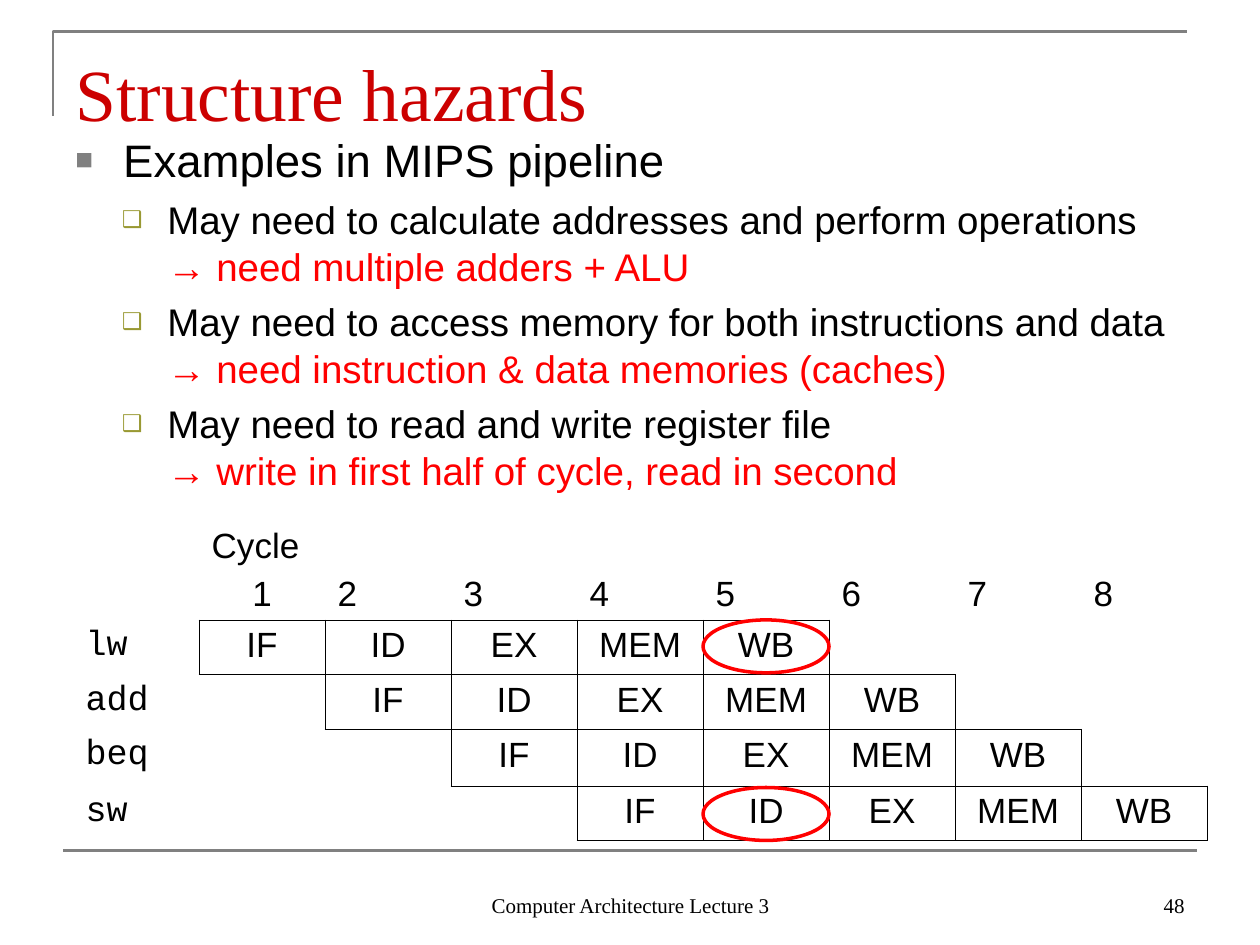
from lxml import etree
from pptx import Presentation
from pptx.dml.color import RGBColor
from pptx.enum.shapes import MSO_CONNECTOR, MSO_SHAPE
from pptx.enum.text import MSO_ANCHOR as Anchor, PP_ALIGN as Align
from pptx.oxml.ns import qn
from pptx.util import Inches, Pt

BLACK, RED, GRAY = "000000", "FF0000", "808080"
SERIF, SANS, MONO = "Times New Roman", "Arial", "Courier New"

TITLE = "Structure hazards"
FOOTER = "Computer Architecture Lecture 3"
PAGE = "48"

# Style: size, left margin, first-line indent, space before, bullet (sign, colour, percent)
STYLES = {
    "topic": (26, 0.38, -0.38, 0, ("■", GRAY, 65)),
    "hazard": (22, 0.73, -0.36, 5.5, ("❑", "999933", 60)),
    "remedy": (22, 0.73, 0, 0, None),
}
# Style, black text, red text
POINTS = [
    ("topic", "Examples in MIPS pipeline", ""),
    ("hazard", "May need to calculate addresses and perform operations \v",
     "→ need multiple adders + ALU"),
    ("hazard", "May need to access memory for both instructions and data \v",
     "→ need instruction & data memories (caches)"),
    ("hazard", "May need to read and write register file", ""),
    ("remedy", "", "→ write in first half of cycle, read in second"),
]

STAGES = ["IF", "ID", "EX", "MEM", "WB"]
INSTRUCTIONS = ["lw", "add", "beq", "sw"]
CYCLES = 8
TABLE_LEFT, TABLE_TOP, COLUMN = 0.58, 4.08, 1
ROW_HEIGHTS = [0.84, 0.43, 0.43, 0.45, 0.43]
CONFLICT_CYCLE, CONFLICT_TOPS = 5, [4.92, 6.25]


def rgb(color):
    return RGBColor.from_string(color)


def format_runs(paragraph, size, font, color=BLACK):
    for run in paragraph.runs:
        run.font.size, run.font.name = Pt(size), font
        run.font.color.rgb = rgb(color)


def add_box(slide, left, top, width, height, anchor):
    box = slide.shapes.add_textbox(*map(Inches, (left, top, width, height)))
    frame = box.text_frame
    frame.word_wrap, frame.vertical_anchor = True, anchor
    return frame


def add_label(slide, place, text, size, color=BLACK, align=Align.LEFT):
    frame = add_box(slide, *place, Anchor.BOTTOM)
    frame.text = text
    frame.paragraphs[0].alignment = align
    format_runs(frame.paragraphs[0], size, SERIF, color)
    return frame


def set_outline(shape, color, width):
    shape.line.color.rgb, shape.line.width = rgb(color), Pt(width)


def set_indent(paragraph, left, first, bullet):
    props = paragraph._p.get_or_add_pPr()
    props.set("marL", str(Inches(left)))
    props.set("indent", str(Inches(first)))
    if bullet is None:
        etree.SubElement(props, qn("a:buNone"))
        return
    sign, color, percent = bullet
    tint = etree.SubElement(props, qn("a:buClr"))
    etree.SubElement(tint, qn("a:srgbClr"), val=color)
    etree.SubElement(props, qn("a:buSzPct"), val=str(percent * 1000))
    etree.SubElement(props, qn("a:buFont"), typeface=SANS)
    etree.SubElement(props, qn("a:buChar"), char=sign)


def add_frame_lines(slide):
    builder = slide.shapes.build_freeform(Inches(0.42), Inches(0.92))
    builder.add_line_segments(
        [(Inches(0.42), Inches(0.25)), (Inches(9.42), Inches(0.25))], close=False)
    corner = builder.convert_to_shape()
    corner.shadow.inherit = False
    corner.fill.background()
    rule = slide.shapes.add_connector(
        MSO_CONNECTOR.STRAIGHT, *map(Inches, (0.5, 6.75, 9.5, 6.75)))
    etree.SubElement(rule._element.spPr, qn("a:effectLst"))
    for line in (corner, rule):
        set_outline(line, GRAY, 1.5)


def add_points(slide):
    frame = add_box(slide, 0.5, 1, 9, 3.08, Anchor.TOP)
    for i, (style, plain, remedy) in enumerate(POINTS):
        size, left, first, before, bullet = STYLES[style]
        paragraph = frame.add_paragraph() if i else frame.paragraphs[0]
        paragraph.text = plain
        set_indent(paragraph, left, first, bullet)
        paragraph.space_before = Pt(before)
        format_runs(paragraph, size, SANS)
        if remedy:
            run = paragraph.add_run()
            run.text = remedy
            run.font.size, run.font.name = Pt(size), SANS
            run.font.color.rgb = rgb(RED)


def is_stage(row, column):
    """Instruction n enters the pipeline in cycle n and stays for five cycles."""
    return 1 <= row <= len(INSTRUCTIONS) and 0 <= column - row < len(STAGES)


def set_borders(cell, row, column):
    """Draw each side that touches a pipeline stage, and clear the others."""
    neighbours = {"L": (row, column - 1), "R": (row, column + 1),
                  "T": (row - 1, column), "B": (row + 1, column)}
    props = cell._tc.get_or_add_tcPr()
    for i, (side, neighbour) in enumerate(neighbours.items()):
        line = etree.Element(qn("a:ln" + side), w=str(Pt(0.45)))
        if is_stage(row, column) or is_stage(*neighbour):
            fill = etree.SubElement(line, qn("a:solidFill"))
            etree.SubElement(fill, qn("a:srgbClr"), val=BLACK)
        else:
            etree.SubElement(line, qn("a:noFill"))
        props.insert(i, line)


def cell_text(row, column):
    if row == 0:
        return ["", "Cycle\n1"][column] if column < 2 else str(column)
    if column == 0:
        return INSTRUCTIONS[row - 1]
    return STAGES[column - row] if is_stage(row, column) else ""


def add_pipeline(slide):
    rows, columns = len(ROW_HEIGHTS), CYCLES + 1
    table = slide.shapes.add_table(
        rows, columns, Inches(TABLE_LEFT), Inches(TABLE_TOP),
        Inches(columns * COLUMN), Inches(sum(ROW_HEIGHTS))).table
    table.first_row = table.horz_banding = False
    for column in table.columns:
        column.width = Inches(COLUMN)
    for r, height in enumerate(ROW_HEIGHTS):
        table.rows[r].height = Inches(height)
        for c in range(columns):
            cell = table.cell(r, c)
            cell.fill.background()
            set_borders(cell, r, c)
            cell.vertical_anchor = Anchor.TOP if r else Anchor.BOTTOM
            cell.text_frame.text = cell_text(r, c)
            for paragraph in cell.text_frame.paragraphs:
                format_runs(paragraph, 20, MONO if c == 0 else SANS)
            if is_stage(r, c):
                cell.text_frame.paragraphs[0].alignment = Align.CENTER
    first_cycle = table.cell(0, 1).text_frame.paragraphs[1]
    first_cycle.alignment, first_cycle.space_before = Align.CENTER, Pt(5)


def add_conflicts(slide):
    left = TABLE_LEFT + CONFLICT_CYCLE * COLUMN
    for top in CONFLICT_TOPS:
        ring = slide.shapes.add_shape(
            MSO_SHAPE.OVAL, *map(Inches, (left, top, COLUMN, 0.42)))
        ring.shadow.inherit = False
        ring.fill.background()
        set_outline(ring, RED, 2)


def main():
    prs = Presentation()
    prs.slide_width, prs.slide_height = Inches(10), Inches(7.5)
    slide = prs.slides.add_slide(prs.slide_layouts[6])
    add_frame_lines(slide)
    add_label(slide, (3.42, 6.83, 3.17, 0.5), FOOTER, 12, align=Align.CENTER)
    add_label(slide, (7.17, 6.83, 2.33, 0.5), PAGE, 12, align=Align.RIGHT)
    title = add_label(slide, (0.5, 0.3, 9, 0.78), TITLE, 42, "CC0000")
    title.margin_bottom = 0
    add_points(slide)
    add_pipeline(slide)
    add_conflicts(slide)
    prs.save("out.pptx")


if __name__ == "__main__":
    main()
